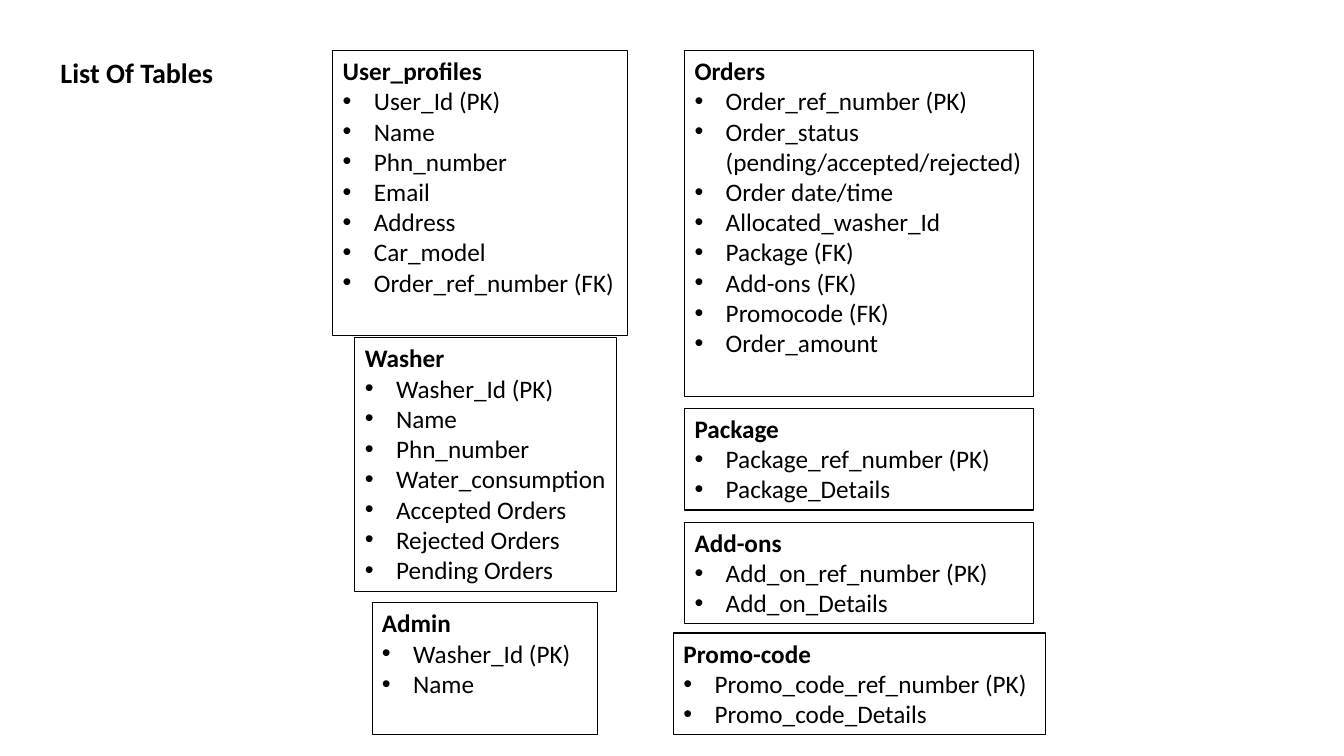
from pptx import Presentation
from pptx.dml.color import RGBColor
from pptx.enum.shapes import MSO_SHAPE
from pptx.enum.text import MSO_ANCHOR, MSO_AUTO_SIZE, PP_ALIGN
from pptx.oxml.ns import qn
from pptx.util import Inches, Pt
from lxml.etree import SubElement

FONT = "Calibri"
BLACK = "000000"
BULLET_INDENT = Inches(0.31)

TABLES = [
    ((3.3, 0.5, 2.92, 2.83), "User_profiles",
     ["User_Id (PK)", "Name", "Phn_number", "Email", "Address", "Car_model",
      "Order_ref_number (FK)"]),
    ((3.52, 3.35, 2.6, 2.52), "Washer",
     ["Washer_Id (PK)", "Name", "Phn_number", "Water_consumption",
      "Accepted Orders", "Rejected Orders", "Pending Orders"]),
    ((3.69, 5.98, 2.24, 1.31), "Admin", ["Washer_Id (PK)", "Name"]),
    ((6.79, 0.5, 3.46, 3.43), "Orders",
     ["Order_ref_number (PK)", "Order_status (pending/accepted/rejected)",
      "Order date/time", "Allocated_washer_Id", "Package (FK)",
      "Add-ons (FK)", "Promocode (FK)", "Order_amount"]),
    ((6.79, 4.05, 3.46, 1.01), "Package",
     ["Package_ref_number (PK)", "Package_Details"]),
    ((6.79, 5.18, 3.46, 1.01), "Add-ons",
     ["Add_on_ref_number (PK)", "Add_on_Details"]),
    ((6.68, 6.28, 3.69, 1.01), "Promo-code",
     ["Promo_code_ref_number (PK)", "Promo_code_Details"]),
]


def color(hex_string):
    """Return the colour for a hex string."""
    return RGBColor.from_string(hex_string)


def format_paragraph(paragraph, size, bold):
    """Left-align a paragraph and style its runs."""
    paragraph.alignment = PP_ALIGN.LEFT
    paragraph.line_spacing = 1.0
    paragraph.space_before = Pt(0)
    for run in paragraph.runs:
        run.font.name = FONT
        run.font.size = Pt(size)
        run.font.bold = bold
        run.font.color.rgb = color(BLACK)


def add_bullet(paragraph):
    """Give a paragraph a hanging round bullet."""
    properties = paragraph._p.get_or_add_pPr()
    properties.set("marL", str(BULLET_INDENT))
    properties.set("indent", str(-BULLET_INDENT))
    SubElement(properties, qn("a:buFont")).set("typeface", "Arial")
    SubElement(properties, qn("a:buChar")).set("char", "•")


def fill_text(text_frame, text):
    """Set wrapped text that starts at the top of its frame."""
    text_frame.text = text
    text_frame.word_wrap = True
    text_frame.auto_size = MSO_AUTO_SIZE.NONE
    text_frame.vertical_anchor = MSO_ANCHOR.TOP


def place_title(slide, box, text):
    """Move the title placeholder into the box and fill it."""
    title = slide.shapes.title
    title.left, title.top, title.width, title.height = map(Inches, box)
    fill_text(title.text_frame, text)
    format_paragraph(title.text_frame.paragraphs[0], 20, True)


def add_table_card(slide, box, name, fields):
    """Draw an outlined card with a table name and its bulleted fields."""
    card = slide.shapes.add_shape(MSO_SHAPE.RECTANGLE, *map(Inches, box))
    card.shadow.inherit = False
    card.fill.background()
    card.line.color.rgb = color(BLACK)
    card.line.width = Pt(0.75)
    fill_text(card.text_frame, "\n".join([name, *fields]))
    heading, *field_paragraphs = card.text_frame.paragraphs
    format_paragraph(heading, 18, True)
    for paragraph in field_paragraphs:
        format_paragraph(paragraph, 18, False)
        add_bullet(paragraph)


def main():
    """Build and save the presentation."""
    presentation = Presentation()
    presentation.slide_width = Inches(13.33)
    presentation.slide_height = Inches(7.5)
    slide = presentation.slides.add_slide(presentation.slide_layouts[5])
    place_title(slide, (0.5, 0.5, 5.07, 0.77), "List Of Tables")
    for box, name, fields in TABLES:
        add_table_card(slide, box, name, fields)
    presentation.save("out.pptx")


if __name__ == "__main__":
    main()
